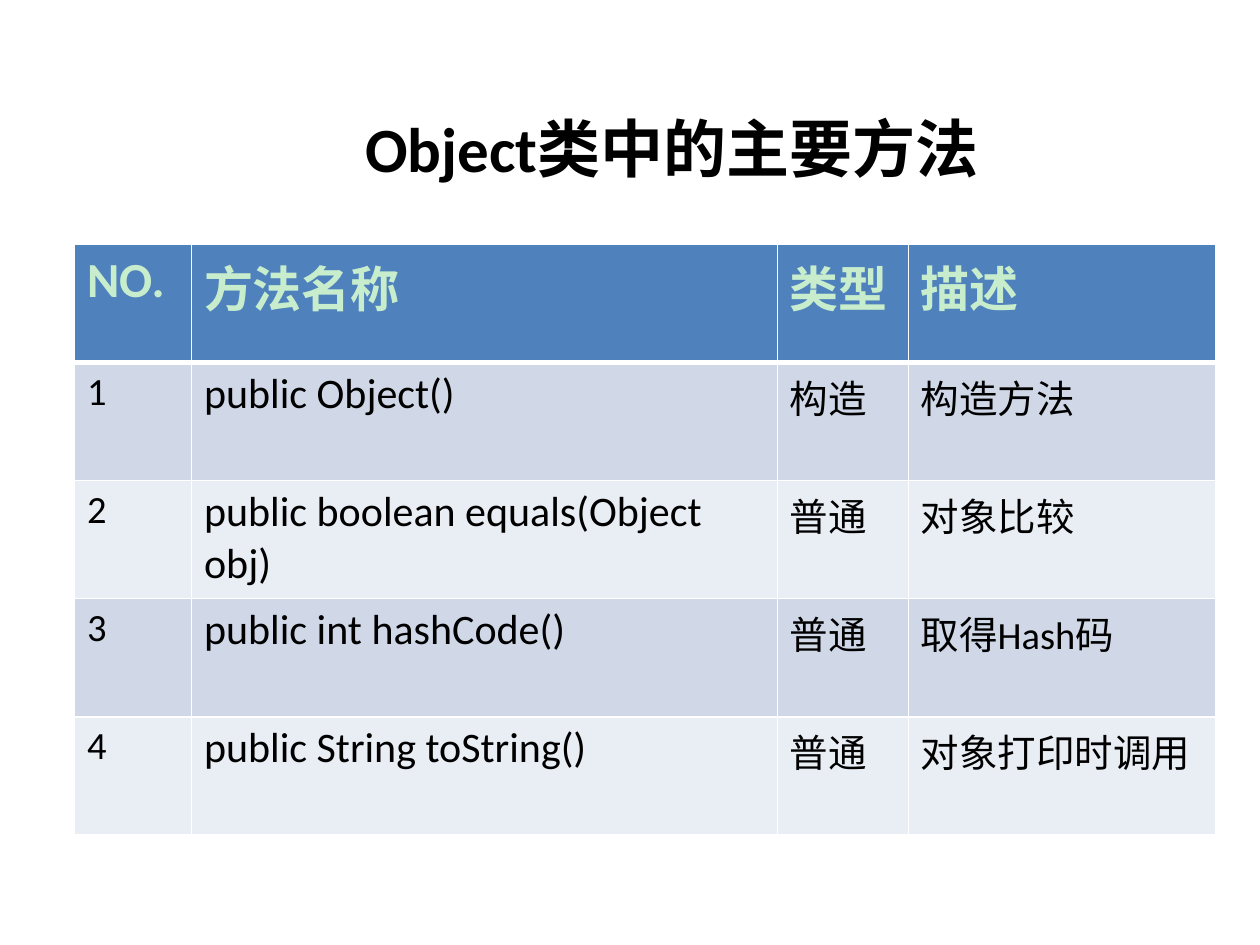
import pptx
import pptx.dml.color
import pptx.enum.text
import pptx.oxml
import pptx.oxml.ns
import pptx.util

Cm = pptx.util.Cm
Pt = pptx.util.Pt

FONT = "Calibri"
COLORS = {
    "text": "000000",
    "header_text": "C7EDCC",
    "header_fill": "4F81BD",
    "odd_row": "D0D8E8",
    "even_row": "E9EDF4",
    "border": "FFFFFF",
}
HEADERS = ["NO.", "方法名称", "类型", "描述"]
METHODS = [
    ["1", "public Object()", "构造", "构造方法"],
    ["2", "public boolean equals(Object obj)", "普通", "对象比较"],
    ["3", "public int hashCode()", "普通", "取得Hash码"],
    ["4", "public String toString()", "普通", "对象打印时调用"],
]
COLUMN_WIDTHS = [2.36, 11.81, 2.64, 6.19]
BODY_SIZES = [22, 24, 22, 22]
HEADER_SIZE = 28


def rgb(name):
    """Return the palette colour of the given name."""
    return pptx.dml.color.RGBColor.from_string(COLORS[name])


def add_run(paragraph, text, size, color, bold=False):
    """Add one formatted run to a paragraph."""
    run = paragraph.add_run()
    run.text = text
    run.font.name = FONT
    run.font.size = Pt(size)
    run.font.bold = bold
    run.font.color.rgb = rgb(color)


def set_borders(cell, top, bottom):
    """Draw the four cell borders, with the top and bottom widths in points."""
    properties = cell._tc.get_or_add_tcPr()
    widths = {"lnL": 1, "lnR": 1, "lnT": top, "lnB": bottom}
    for index, (side, width) in enumerate(widths.items()):
        border = pptx.oxml.parse_xml(
            f'<a:{side} {pptx.oxml.ns.nsdecls("a")} w="{Pt(width)}"><a:solidFill>'
            f'<a:srgbClr val="{COLORS["border"]}"/></a:solidFill></a:{side}>'
        )
        properties.insert(index, border)


def place_title(slide, left, top, width, height):
    """Move the title placeholder into its box and fill it."""
    title = slide.shapes.title
    title.left, title.top, title.width, title.height = left, top, width, height
    frame = title.text_frame
    frame.word_wrap = True
    frame.auto_size = pptx.enum.text.MSO_AUTO_SIZE.NONE
    frame.vertical_anchor = pptx.enum.text.MSO_ANCHOR.MIDDLE
    paragraph = frame.paragraphs[0]
    paragraph.alignment = pptx.enum.text.PP_ALIGN.LEFT
    add_run(paragraph, "Object类中的主要方法", 36, "text", True)


def place_method_table(slide, left, top, width, height):
    """Add the table of methods, with equal rows and proportional columns."""
    rows = [HEADERS] + METHODS
    table = slide.shapes.add_table(
        len(rows), len(HEADERS), left, top, width, height
    ).table
    for column, share in zip(table.columns, COLUMN_WIDTHS):
        column.width = int(width * share / sum(COLUMN_WIDTHS))
    for row_index, texts in enumerate(rows):
        is_header = row_index == 0
        if is_header:
            fill = "header_fill"
        else:
            fill = "odd_row" if row_index % 2 else "even_row"
        for column_index, text in enumerate(texts):
            cell = table.cell(row_index, column_index)
            cell.fill.solid()
            cell.fill.fore_color.rgb = rgb(fill)
            set_borders(cell, 3 if row_index == 1 else 1, 3 if is_header else 1)
            add_run(
                cell.text_frame.paragraphs[0],
                text,
                HEADER_SIZE if is_header else BODY_SIZES[column_index],
                "header_text" if is_header else "text",
                is_header,
            )


def main():
    """Build the slide and save the presentation."""
    presentation = pptx.Presentation()
    presentation.slide_width = Cm(25.4)
    presentation.slide_height = Cm(19.05)
    slide = presentation.slides.add_slide(presentation.slide_layouts[5])
    place_title(slide, Cm(7.11), Cm(2.06), Cm(14.4), Cm(1.8))
    place_method_table(slide, Cm(1.5), Cm(4.93), Cm(23), Cm(11.9))
    presentation.save("out.pptx")


if __name__ == "__main__":
    main()
